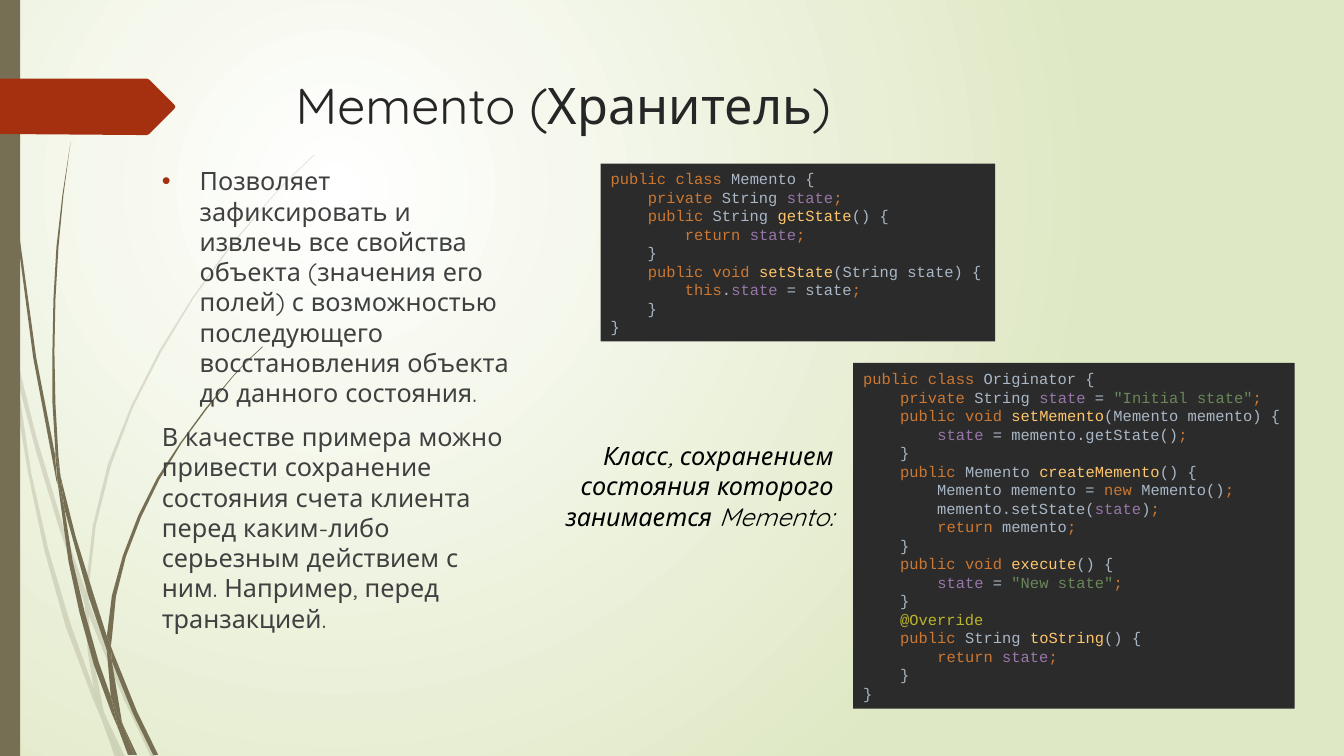
from dataclasses import dataclass
from itertools import groupby

from lxml.etree import SubElement
from pptx import Presentation
from pptx.dml.color import RGBColor
from pptx.enum.shapes import MSO_SHAPE as Preset
from pptx.enum.text import MSO_ANCHOR as Anchor, MSO_AUTO_SIZE as AutoSize, PP_ALIGN as Align
from pptx.oxml.ns import qn
from pptx.util import Pt

Outline = list[tuple[int, int]]


@dataclass(frozen=True)
class Theme:
    glow: str = "FFFFFF"
    meadow: str = "DFE8C4"
    olive: str = "766F54"
    accent: str = "A53010"
    heading: str = "262626"
    body: str = "404040"
    caption: str = "000000"
    editor: str = "2B2B2B"
    plain: str = "A9B7C6"
    keyword: str = "CC7832"
    field: str = "9876AA"
    method: str = "FFC66D"
    literal: str = "6A8759"
    annotation: str = "BBB529"
    text_font: str = "Quicksand"
    code_font: str = "Courier New"
    title_size: float = 36
    text_size: float = 18
    code_size: float = 11


@dataclass(frozen=True)
class Box:
    left: float
    top: float
    width: float
    height: float

    def lengths(self) -> list:
        return [Pt(v) for v in (self.left, self.top, self.width, self.height)]


@dataclass(frozen=True)
class Listing:
    """Java code: $ marks a field, # marks a declared method."""
    box: Box
    code: str


THEME = Theme()
KEYWORDS = {"public", "class", "private", "return", "void", "this", "new"}
MARKS = {"$": THEME.field, "#": THEME.method}

# Outlines are drawn on a grid with this step
GRID = Pt(0.72)
PALE_GRASS: list[Outline] = [
    [(11, 350), (9, 322), (0, 282), (0, 299), (10, 344)],
    [(58, 522), (84, 599), (85, 586), (62, 520), (36, 433), (14, 345), (17, 376), (36, 449)],
    [(92, 607), (88, 596), (88, 610), (105, 652), (123, 694), (150, 751), (155, 751), (127, 692),
     (109, 650)],
    [(119, 751), (124, 751), (105, 711)],
    [(93, 683), (70, 619), (48, 545), (31, 469), (17, 376), (11, 350), (18, 410), (28, 470),
     (44, 546), (65, 621), (92, 693), (101, 714), (99, 707)],
    [(84, 599), (87, 646), (93, 683), (96, 692), (105, 711), (103, 706), (91, 646), (88, 610),
     (88, 608)],
    [(88, 584), (95, 522), (110, 462), (132, 404), (160, 349), (192, 296), (229, 245), (268, 198),
     (290, 175), (312, 154), (312, 153), (289, 175), (268, 197), (228, 244), (191, 295),
     (158, 348), (130, 403), (107, 461), (92, 522), (85, 584), (85, 586), (88, 596)],
    [(101, 714), (114, 751), (119, 751)],
    [(88, 608), (88, 610), (88, 596), (85, 586), (84, 599)],
    [(96, 692), (93, 683), (99, 707), (101, 714), (119, 751), (105, 711)],
]
DARK_GRASS: list[Outline] = [
    [(7, 110), (17, 233), (33, 355), (56, 477), (57, 481), (55, 457), (55, 453), (36, 355),
     (19, 232), (8, 109), (5, 48), (4, 0), (3, 0), (4, 48)],
    [(88, 592), (106, 645), (106, 633), (106, 631), (93, 590), (75, 532), (60, 472), (64, 505)],
    [(113, 649), (110, 641), (111, 656), (132, 708), (152, 749), (157, 749), (136, 706)],
    [(110, 691), (98, 657), (84, 607), (72, 556), (64, 505), (57, 477), (68, 557), (79, 608),
     (93, 659), (111, 708), (117, 722), (116, 717)],
    [(60, 472), (58, 453), (55, 401), (54, 349), (55, 297), (58, 245), (63, 193), (70, 141),
     (62, 193), (56, 245), (53, 297), (52, 349), (52, 399), (55, 449)],
    [(133, 749), (136, 749), (122, 719)],
    [(57, 477), (64, 505), (60, 472), (55, 449), (55, 453)],
    [(111, 633), (115, 592), (125, 552), (140, 513), (158, 476), (180, 440), (205, 406),
     (231, 374), (245, 359), (261, 344), (260, 344), (245, 358), (231, 373), (204, 405),
     (179, 439), (156, 474), (137, 512), (122, 551), (111, 591), (106, 631), (110, 641)],
    [(117, 722), (127, 749), (131, 749)],
    [(106, 645), (110, 691), (116, 706), (122, 719), (121, 716), (111, 656), (109, 651)],
    [(106, 645), (109, 651), (111, 656), (110, 641), (106, 631), (106, 633)],
    [(116, 706), (110, 691), (116, 717), (117, 722), (130, 749), (133, 749), (122, 719)],
]
POINTER: Outline = [(174, 106), (173, 108), (148, 133), (146, 134), (136, 134), (0, 133), (0, 78),
                    (136, 78), (146, 78), (148, 79), (173, 104)]

LISTINGS = [
    Listing(Box(429.1, 116.9, 281.8, 127), """public class Memento {
    private String $state;
    public String #getState() {
        return $state;
    }
    public void #setState(String state) {
        this.$state = state;
    }
}"""),
    Listing(Box(609.4, 259.2, 315.4, 247), """public class Originator {
    private String $state = "Initial state";
    public void #setMemento(Memento memento) {
        $state = memento.getState();
    }
    public Memento #createMemento() {
        Memento memento = new Memento();
        memento.setState($state);
        return memento;
    }
    public void #execute() {
        $state = "New state";
    }
    @Override
    public String #toString() {
        return $state;
    }
}"""),
]


def paint(shape, color: str) -> None:
    shape.shadow.inherit = False
    shape.fill.solid()
    shape.fill.fore_color.rgb = RGBColor.from_string(color)
    shape.line.fill.background()


def style(run, font: str, size: float, color: str) -> None:
    run.font.name = font
    run.font.size = Pt(size)
    run.font.color.rgb = RGBColor.from_string(color)


def paint_background(slide) -> None:
    fill = slide.background.fill
    fill.gradient()
    for stop, color in zip(fill.gradient_stops, (THEME.glow, THEME.meadow)):
        stop.color.rgb = RGBColor.from_string(color)
    gradient = slide.element.find(".//" + qn("a:gradFill"))
    gradient.remove(gradient.find(qn("a:lin")))
    circle = SubElement(gradient, qn("a:path"), {"path": "circle"})
    SubElement(circle, qn("a:fillToRect"), l="50000", t="50000", r="100000", b="100000")


def draw_outline(slide, outline: Outline, color: str, opacity: int = 100) -> None:
    builder = slide.shapes.build_freeform(*outline[0], scale=GRID)
    builder.add_line_segments(outline[1:], close=True)
    shape = builder.convert_to_shape()
    paint(shape, color)
    if opacity < 100:
        tint = shape.element.find(".//" + qn("a:srgbClr"))
        SubElement(tint, qn("a:alpha"), val=str(opacity * 1000))


def draw_panel(slide, box: Box, color: str):
    panel = slide.shapes.add_shape(Preset.RECTANGLE, *box.lengths())
    paint(panel, color)
    return panel


def fill_placeholder(slide, holder, box: Box, text: str, size: float, color: str) -> None:
    slide.shapes.element.append(holder.element)  # bring above the grass
    holder.left, holder.top, holder.width, holder.height = box.lengths()
    frame = holder.text_frame
    frame.text = text
    frame.word_wrap = True
    frame.auto_size = AutoSize.NONE
    frame.vertical_anchor = Anchor.TOP
    for paragraph in frame.paragraphs:
        paragraph.alignment = Align.LEFT
        style(paragraph.runs[0], THEME.text_font, size, color)


def set_bullet(paragraph, shown: bool) -> None:
    paragraph.space_before = Pt(10)
    indent = Pt(27) if shown else 0
    props = paragraph._p.get_or_add_pPr()
    props.set("marL", str(indent))
    props.set("indent", str(-indent))
    if shown:
        SubElement(SubElement(props, qn("a:buClr")), qn("a:srgbClr"), val=THEME.accent)
        SubElement(props, qn("a:buFont"), typeface="Arial")
        SubElement(props, qn("a:buChar"), char="•")
    else:
        SubElement(props, qn("a:buNone"))


def char_class(char: str) -> str:
    if char.isalnum() or char in '$#@"':
        return "word"
    return "end" if char == ";" else "other"


def token_color(token: str) -> str:
    if token in KEYWORDS or token[0] == ";":
        return THEME.keyword
    if '"' in token:
        return THEME.literal
    return THEME.annotation if token[0] == "@" else MARKS.get(token[0], THEME.plain)


def draw_listing(slide, listing: Listing) -> None:
    frame = draw_panel(slide, listing.box, THEME.editor).text_frame
    frame.word_wrap = False
    frame.vertical_anchor = Anchor.MIDDLE
    paragraph = frame.paragraphs[0]
    paragraph.alignment = Align.LEFT
    paragraph.line_spacing = Pt(13.2)
    for number, line in enumerate(listing.code.splitlines()):
        if number:
            paragraph.add_line_break()
        for token in ("".join(chars) for _, chars in groupby(line, char_class)):
            run = paragraph.add_run()
            run.text = token.lstrip("$#")
            style(run, THEME.code_font, THEME.code_size, token_color(token))


def draw_caption(slide, box: Box, text: str) -> None:
    frame = slide.shapes.add_textbox(*box.lengths()).text_frame
    frame.word_wrap = True
    frame.text = text
    frame.paragraphs[0].alignment = Align.RIGHT
    run = frame.paragraphs[0].runs[0]
    style(run, THEME.text_font, THEME.text_size, THEME.caption)
    run.font.italic = True


def main() -> None:
    deck = Presentation()
    deck.slide_width, deck.slide_height = Pt(960), Pt(540)
    slide = deck.slides.add_slide(deck.slide_layouts[1])
    title, body = slide.placeholders
    paint_background(slide)
    for blade in PALE_GRASS:
        draw_outline(slide, blade, THEME.olive, opacity=20)
    for blade in DARK_GRASS:
        draw_outline(slide, blade, THEME.olive)
    draw_panel(slide, Box(0, 0, 14.4, 540), THEME.olive)
    draw_outline(slide, POINTER, THEME.accent)

    fill_placeholder(slide, title, Box(204, 49, 702, 100.8), "Memento (Хранитель)",
                     THEME.title_size, THEME.heading)
    fill_placeholder(slide, body, Box(108.4, 114.7, 265.7, 350.6),
                     "Позволяет зафиксировать и извлечь все свойства объекта (значения его полей) "
                     "с возможностью последующего восстановления объекта до данного состояния.\n"
                     "В качестве примера можно привести сохранение состояния счета клиента перед "
                     "каким-либо серьезным действием с ним. Например, перед транзакцией.",
                     THEME.text_size, THEME.body)
    for paragraph, shown in zip(body.text_frame.paragraphs, (True, False)):
        set_bullet(paragraph, shown)
    for listing in LISTINGS:
        draw_listing(slide, listing)
    draw_caption(slide, Box(387.2, 311, 215.3, 94.3),
                 "Класс, сохранением состояния которого занимается Memento:")
    deck.save("out.pptx")


if __name__ == "__main__":
    main()
